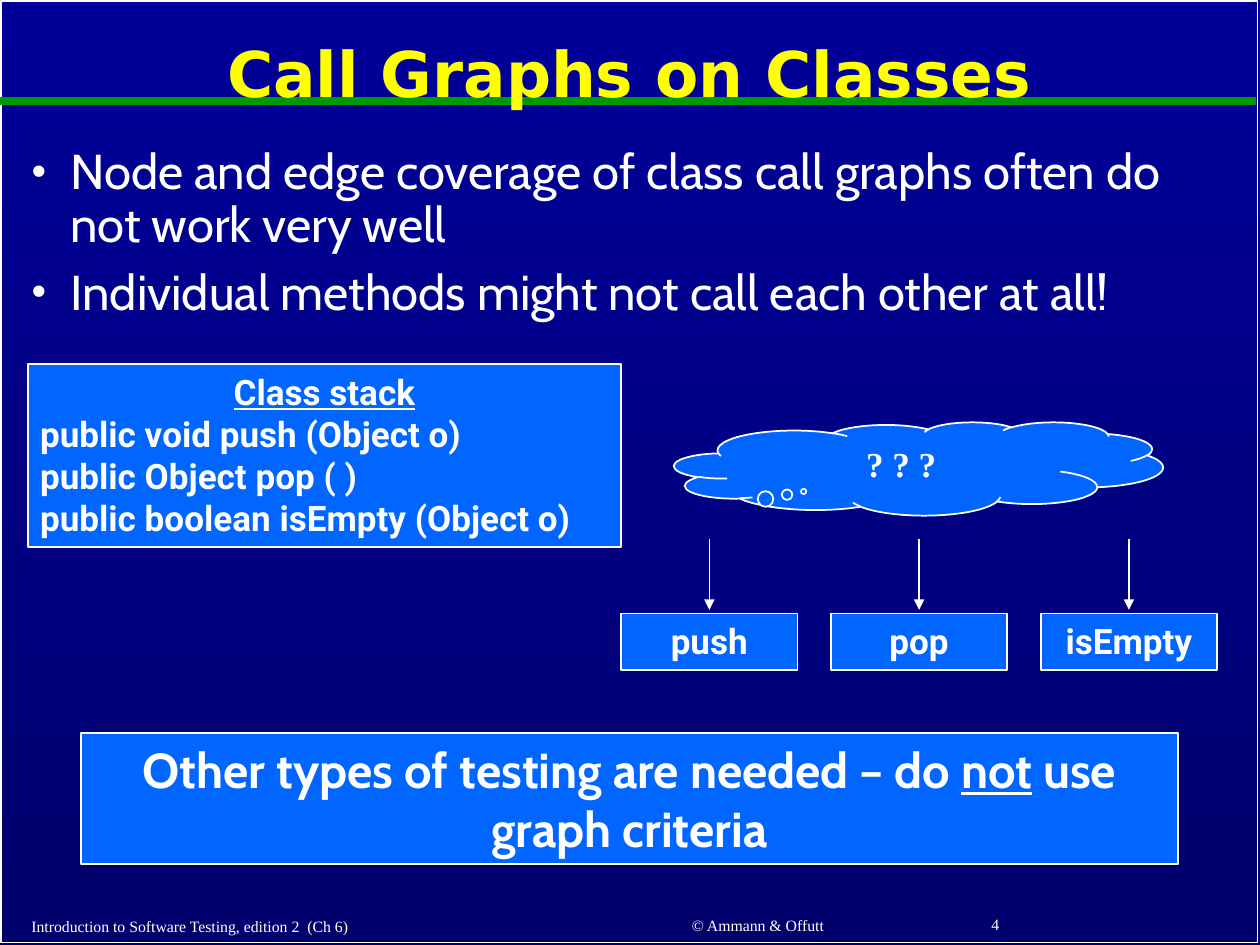
from dataclasses import dataclass

from lxml.etree import SubElement
from pptx import Presentation
from pptx.dml.color import RGBColor
from pptx.enum.shapes import MSO_CONNECTOR, MSO_SHAPE
from pptx.enum.text import MSO_ANCHOR, MSO_AUTO_SIZE, PP_ALIGN
from pptx.oxml.ns import qn
from pptx.util import Inches, Pt

WHITE, YELLOW, GREEN, BLUE = "FFFFFF", "FFFF00", "009900", "0066FF"
LEFT, CENTER = PP_ALIGN.LEFT, PP_ALIGN.CENTER
TITLE = {"name": "DejaVu Sans", "size": Pt(36), "bold": True}
BULLET = {"name": "Cabin", "size": Pt(28), "bold": False}
CONCLUSION = {**BULLET, "bold": True}
CODE = {"name": "Roboto", "size": Pt(20), "bold": True}
THOUGHT = {**CODE, "name": "Times New Roman"}
FOOTER = {"name": "Times New Roman", "size": Pt(9)}


@dataclass
class Box:
    left: float
    top: float
    width: float
    height: float

    def lengths(self) -> list:
        return [Inches(v) for v in (self.left, self.top, self.width, self.height)]


@dataclass
class Line:
    """A paragraph; its underlined part, if any, stands between text and rest."""
    text: str = ""
    underlined: str = ""
    rest: str = ""
    align: PP_ALIGN = LEFT


def paint(color_format, color: str) -> None:
    color_format.rgb = RGBColor.from_string(color)


def write(frame, lines: list[Line], style: dict, color: str = WHITE) -> None:
    frame.word_wrap = True
    for index, line in enumerate(lines):
        paragraph = frame.add_paragraph() if index else frame.paragraphs[0]
        paragraph.alignment = line.align
        parts = (line.text, False), (line.underlined, True), (line.rest, False)
        for text, underline in parts:
            if not text:
                continue
            run = paragraph.add_run()
            run.text = text
            for key, value in {**style, "underline": underline}.items():
                setattr(run.font, key, value)
            paint(run.font.color, color)


def outlined_shape(slide, kind: MSO_SHAPE, box: Box, filled: bool = True):
    shape = slide.shapes.add_shape(kind, *box.lengths())
    shape.shadow.inherit = False
    if filled:
        shape.fill.solid()
        paint(shape.fill.fore_color, BLUE)
    else:
        shape.fill.background()
    paint(shape.line.color, WHITE)
    shape.line.width = Pt(1)
    shape.text_frame.vertical_anchor = MSO_ANCHOR.TOP
    return shape


def panel(slide, box: Box, lines: list[Line], style: dict) -> None:
    write(outlined_shape(slide, MSO_SHAPE.RECTANGLE, box).text_frame, lines, style)


def straight_line(slide, start: tuple, end: tuple, color: str, width: float,
                  arrow: bool = False) -> None:
    line = slide.shapes.add_connector(
        MSO_CONNECTOR.STRAIGHT, *[Inches(v) for v in (*start, *end)])
    paint(line.line.color, color)
    line.line.width = Pt(width)
    if arrow:
        SubElement(line.line._get_or_add_ln(), qn("a:tailEnd"), type="triangle")
    SubElement(line._element.spPr, qn("a:effectLst"))


def footer(slide, box: Box, line: Line) -> None:
    frame = slide.shapes.add_textbox(*box.lengths()).text_frame
    frame.vertical_anchor = MSO_ANCHOR.MIDDLE
    write(frame, [line], FOOTER)


def fill_placeholder(holder, box: Box, anchor: MSO_ANCHOR, lines: list[Line],
                     style: dict, color: str) -> None:
    holder.left, holder.top, holder.width, holder.height = box.lengths()
    frame = holder.text_frame
    frame.auto_size = MSO_AUTO_SIZE.NONE
    frame.vertical_anchor = anchor
    write(frame, lines, style, color)
    for paragraph in frame.paragraphs:
        paragraph.line_spacing = 0.9
        paragraph.space_before = Pt(0)


def add_bullets(frame) -> None:
    for index, paragraph in enumerate(frame.paragraphs):
        paragraph.space_before = Pt(8.4 if index else 0)
        properties = paragraph._p.get_or_add_pPr()
        properties.set("marL", str(Inches(0.31)))
        properties.set("indent", str(-Inches(0.31)))
        SubElement(properties, qn("a:buSzPct"), val="85000")
        SubElement(properties, qn("a:buChar"), char="•")


def main() -> None:
    deck = Presentation()
    deck.slide_width, deck.slide_height = Inches(10), Inches(7.5)
    slide = deck.slides.add_slide(deck.slide_layouts[1])

    backdrop = slide.background.fill
    backdrop.gradient()
    backdrop.gradient_angle = 270
    for stop, color in zip(backdrop.gradient_stops, ("000099", "00006D")):
        paint(stop.color, color)
    outlined_shape(slide, MSO_SHAPE.RECTANGLE, Box(0.01, 0.01, 9.97, 7.47), filled=False)
    straight_line(slide, (0, 0.8), (9.97, 0.8), GREEN, 4.5)

    title, body = slide.placeholders
    # The title overlaps the green rule, so both placeholders go in front of it.
    for holder in (title, body):
        slide.shapes._spTree.append(holder._element)
    fill_placeholder(title, Box(0.13, 0.11, 9.73, 1), MSO_ANCHOR.MIDDLE,
                     [Line("Call Graphs on Classes", align=CENTER)], TITLE, YELLOW)
    fill_placeholder(body, Box(0.15, 1.12, 9.7, 1.7), MSO_ANCHOR.TOP, [
        Line("Node and edge coverage of class call graphs often do not work very well"),
        Line("Individual methods might not call each other at all!"),
    ], BULLET, WHITE)
    add_bullets(body.text_frame)

    panel(slide, Box(0.22, 2.89, 4.71, 1.45), [
        Line(underlined="Class stack", align=CENTER),
        Line("public void push (Object o)"),
        Line("public Object pop ( )"),
        Line("public boolean isEmpty (Object o)"),
    ], CODE)
    panel(slide, Box(0.64, 5.82, 8.71, 1.04), [
        Line("Other types of testing are needed – do ", "not", " use graph criteria", CENTER),
    ], CONCLUSION)

    method_width = 1.4
    for index, method in enumerate(("push", "pop", "isEmpty")):
        left = 4.93 + index * 1.665
        middle = left + method_width / 2
        panel(slide, Box(left, 4.87, method_width, 0.45), [Line(method, align=CENTER)], CODE)
        straight_line(slide, (middle, 4.28), (middle, 4.84), WHITE, 1, arrow=True)

    cloud = outlined_shape(slide, MSO_SHAPE.CLOUD_CALLOUT, Box(5.35, 3.35, 3.88, 0.74))
    cloud.adjustments[0], cloud.adjustments[1] = -0.235, 0.244
    write(cloud.text_frame, [Line("? ? ?", align=CENTER)], THOUGHT)

    footer(slide, Box(0.15, 7.22, 4.11, 0.26),
           Line("Introduction to Software Testing, edition 2  (Ch 6)"))
    footer(slide, Box(4.43, 7.21, 3.17, 0.26), Line("© Ammann & Offutt", align=CENTER))
    footer(slide, Box(7.77, 7.2, 2.08, 0.27), Line("4"))

    deck.save("out.pptx")


if __name__ == "__main__":
    main()
